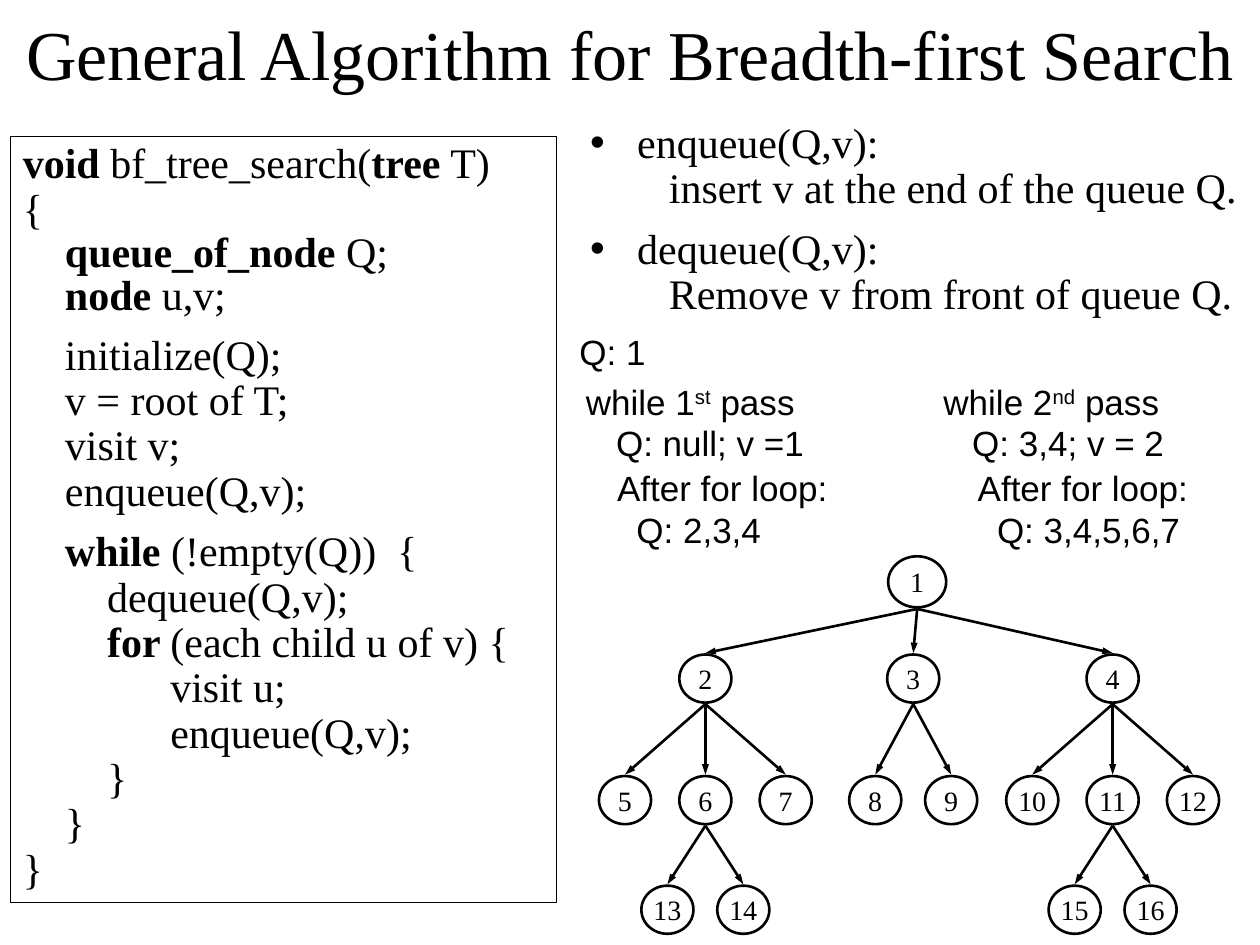
from lxml import etree
from pptx import Presentation
from pptx.dml.color import RGBColor
from pptx.enum.shapes import MSO_CONNECTOR, MSO_SHAPE
from pptx.enum.text import MSO_ANCHOR, MSO_AUTO_SIZE, PP_ALIGN
from pptx.oxml.ns import qn
from pptx.util import Cm, Pt

BLACK = RGBColor(0x00, 0x00, 0x00)
SERIF, SANS = "Times New Roman", "Arial"
CENTER, LEFT = PP_ALIGN.CENTER, PP_ALIGN.LEFT
TOP, MIDDLE = MSO_ANCHOR.TOP, MSO_ANCHOR.MIDDLE
FIXED = MSO_AUTO_SIZE.NONE
RECTANGLE, OVAL = MSO_SHAPE.RECTANGLE, MSO_SHAPE.OVAL
STRAIGHT = MSO_CONNECTOR.STRAIGHT

TITLE = "General Algorithm for Breadth-first Search"
CODE_STEP = 0.85
CODE = [
    (0, 0, 0.9, "*void* bf_tree_search(*tree* T)"),
    (0, 0, 0.9, "{"),
    (1, 0, 0.85, "*queue_of_node* Q;"),
    (1, 0, 0.85, "*node* u,v;"),
    (1, 8.6, 0.9, "initialize(Q);"),
    (1, 0, 0.9, "v = root of T;"),
    (1, 0, 0.9, "visit v;"),
    (1, 0, 0.9, "enqueue(Q,v);"),
    (1, 8.6, 0.9, "*while *(!empty(Q))  {"),
    (2, 0, 0.9, "dequeue(Q,v);"),
    (2, 0, 0.9, "*for *(each child u of v) {"),
    (3.5, 0, 0.9, "visit u;"),
    (3.5, 0, 0.9, "enqueue(Q,v);"),
    (2, 0, 0.9, "}"),
    (1, 0, 0.9, "}"),
    (0, 0, 0.9, "}"),
]
OPERATIONS = [
    ("enqueue(Q,v):", "insert v at the end of the queue Q.", 6),
    ("dequeue(Q,v):", "Remove v from front of queue Q.", 9),
]
TRACE = [
    (11.43, 6.53, 2.1, ["Q: 1"]),
    (11.56, 7.54, 5, ["while 1^st^ pass"]),
    (12.17, 8.38, 4.6, ["Q: null; v =1"]),
    (12.19, 9.27, 5, ["After for loop:", "Q: 2,3,4"]),
    (18.77, 7.54, 5.1, ["while 2^nd^ pass"]),
    (19.35, 8.38, 4.6, ["Q: 3,4; v = 2"]),
    (19.46, 9.27, 5, ["After for loop:", "Q: 3,4,5,6,7"]),
]
CHILDREN = {1: [2, 3, 4], 2: [5, 6, 7], 3: [8, 9], 4: [10, 11, 12],
            6: [13, 14], 11: [15, 16]}
BRANCH_CENTERS = [14.22, 18.41, 22.43]
ROWS = [11.73, 13.68, 16.13, 18.34]
GAPS = {2: 1.53, 3: 1.62}
ROOT_SIZE, NODE_SIZE = (1.17, 1.03), (1.05, 0.97)


def write(para, text, font=SERIF, size=24, align=LEFT, spacing=1.0, before=0,
          indent=0, hanging=0, bullet=False):
    para.alignment = align
    para.line_spacing = spacing
    para.space_before = Pt(before)
    properties = para._p.get_or_add_pPr()
    properties.set("marL", str(Cm(indent)))
    properties.set("indent", str(-Cm(hanging)))
    if not bullet:
        etree.SubElement(properties, qn("a:buNone"))
    raised = "^" in text
    for index, piece in enumerate(text.split("^" if raised else "*")):
        if not piece:
            continue
        span = para.add_run()
        span.text = piece
        span.font.name = font
        span.font.size = Pt(size)
        span.font.color.rgb = BLACK
        marked = index % 2 == 1
        span.font.bold = marked and not raised
        if marked and raised:
            span._r.get_or_add_rPr().set("baseline", "30000")


class SlideBuilder:
    def __init__(self, deck):
        self.page = deck.slides.add_slide(deck.slide_layouts[1])

    def place(self, box, left, top, width, height):
        box.left, box.top = Cm(left), Cm(top)
        box.width, box.height = Cm(width), Cm(height)

    def fill_text(self, box, lines, anchor=TOP, wrap=True):
        frame = box.text_frame
        frame.word_wrap = wrap
        frame.auto_size = FIXED
        frame.vertical_anchor = anchor
        for index, (text, style) in enumerate(lines):
            para = frame.add_paragraph() if index else frame.paragraphs[0]
            write(para, text, **style)

    def title(self, text, *area):
        box = self.page.shapes.title
        self.place(box, *area)
        self.fill_text(box, [(text, dict(size=40, align=CENTER))], MIDDLE)

    def body(self, lines, *area):
        box = self.page.placeholders[1]
        self.place(box, *area)
        self.fill_text(box, lines)

    def note(self, lines, left, top, width, height):
        box = self.page.shapes.add_textbox(Cm(left), Cm(top), Cm(width), Cm(height))
        self.fill_text(box, lines)

    def outline(self, kind, lines, left, top, width, height, weight, **layout):
        box = self.page.shapes.add_shape(
            kind, Cm(left), Cm(top), Cm(width), Cm(height))
        box.shadow.inherit = False
        box.fill.background()
        box.line.color.rgb = BLACK
        box.line.width = Pt(weight)
        self.fill_text(box, lines, **layout)

    def node(self, label, x, y, size):
        width, height = size
        self.outline(OVAL, [(str(label), dict(size=16, align=CENTER))],
                     x - width / 2, y - height / 2, width, height, 1.5,
                     anchor=MIDDLE, wrap=False)

    def arrow(self, x1, y1, x2, y2):
        edge = self.page.shapes.add_connector(
            STRAIGHT, Cm(x1), Cm(y1), Cm(x2), Cm(y2))
        edge.line.color.rgb = BLACK
        edge.line.width = Pt(1.5)
        etree.SubElement(edge.line._get_or_add_ln(), qn("a:tailEnd"),
                         type="triangle", w="sm", len="med")
        etree.SubElement(edge._element.spPr, qn("a:effectLst"))

    def tree(self, label, x, depth=0):
        size = NODE_SIZE if depth else ROOT_SIZE
        self.node(label, x, ROWS[depth], size)
        children = CHILDREN.get(label, [])
        for index, child in enumerate(children):
            if depth:
                offset = index - (len(children) - 1) / 2
                child_x = x + offset * GAPS[len(children)]
            else:
                child_x = BRANCH_CENTERS[index]
            self.arrow(x, ROWS[depth] + size[1] / 2 + 0.03,
                       child_x, ROWS[depth + 1] - NODE_SIZE[1] / 2 - 0.03)
            self.tree(child, child_x, depth + 1)


def main():
    deck = Presentation()
    deck.slide_width, deck.slide_height = Cm(25.4), Cm(19.05)
    slide = SlideBuilder(deck)
    slide.title(TITLE, 0, 0, 25.4, 2.12)

    code = [(text, dict(indent=level * CODE_STEP, before=before, spacing=spacing))
            for level, before, spacing, text in CODE]
    slide.outline(RECTANGLE, code, 0.21, 2.75, 11.01, 15.45, 0.75)

    operations = []
    for call, effect, before in OPERATIONS:
        operations.append((call, dict(indent=0.95, hanging=0.95, spacing=0.9,
                                      before=before, bullet=True)))
        operations.append((effect, dict(indent=1.59, spacing=0.9)))
    slide.body(operations, 11.64, 2.33, 13.76, 4.66)

    slide.tree(1, 18.49)

    for left, top, width, texts in TRACE:
        lines = [(text, dict(font=SANS, size=20, indent=0.39 * index))
                 for index, text in enumerate(texts)]
        slide.note(lines, left, top, width, 0.27 + 0.85 * len(texts))

    deck.save("out.pptx")


if __name__ == "__main__":
    main()
